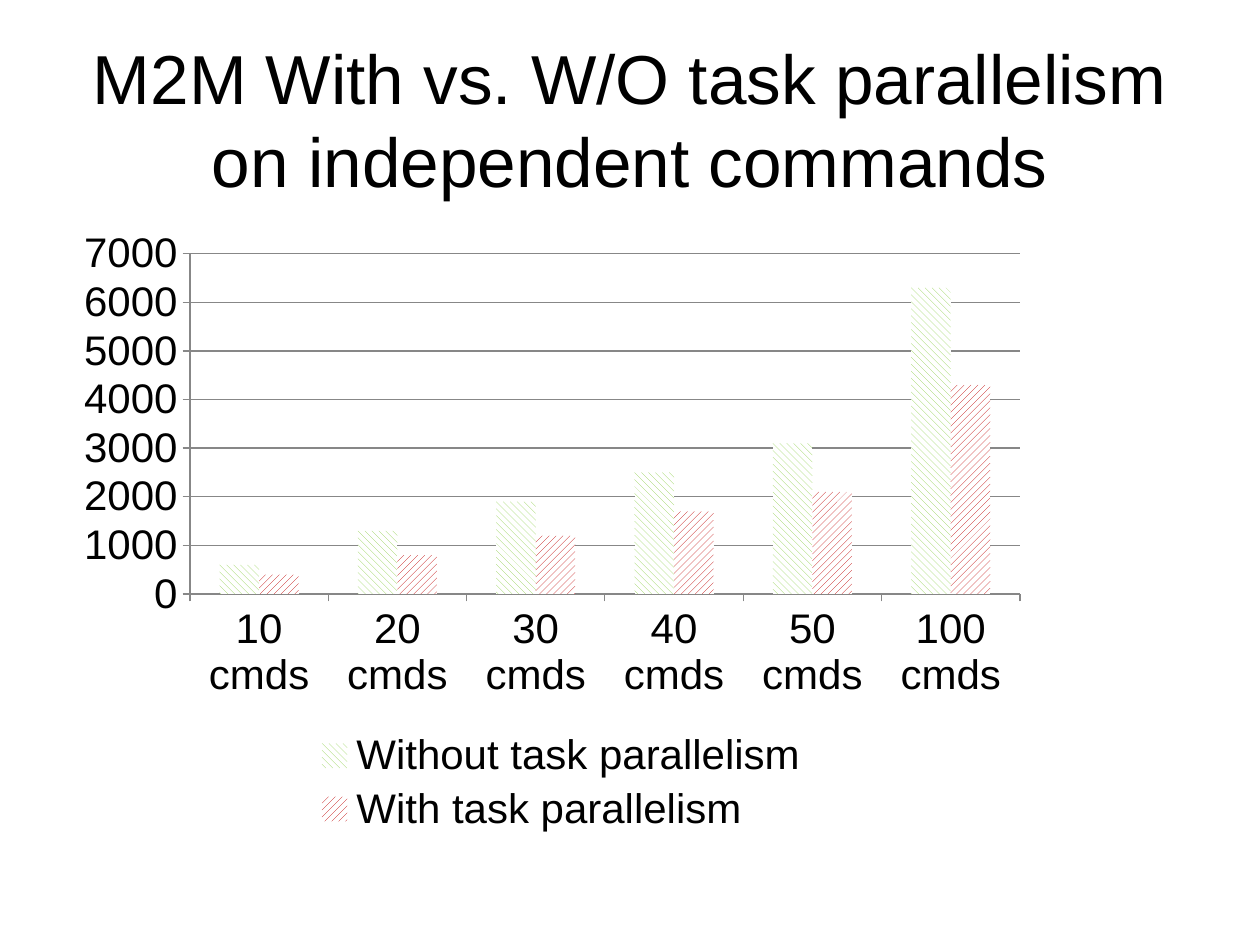
from lxml import etree
from pptx import Presentation
from pptx.chart.data import CategoryChartData
from pptx.dml.color import RGBColor
from pptx.enum.chart import XL_CHART_TYPE as ChartType
from pptx.enum.chart import XL_LEGEND_POSITION as LegendPosition
from pptx.enum.chart import XL_TICK_MARK as TickMark
from pptx.enum.dml import MSO_PATTERN as Pattern
from pptx.enum.text import MSO_ANCHOR as Anchor
from pptx.enum.text import PP_ALIGN as Align
from pptx.oxml.ns import qn
from pptx.util import Inches, Pt


def color(hex_string):
    return RGBColor.from_string(hex_string)


class SlideBuilder:
    """Holds the style and the current slide; areas are shares of the slide."""

    FONT = "Arial"
    INK = "000000"
    PAPER = "FFFFFF"
    RULE = "878787"

    def __init__(self, deck):
        self.deck = deck
        self.slide = deck.slides.add_slide(deck.slide_layouts[6])

    def place(self, left, top, width, height):
        wide, high = self.deck.slide_width, self.deck.slide_height
        return [round(share * side) for share, side in
                ((left, wide), (top, high), (width, wide), (height, high))]

    def style(self, font, size):
        font.name = self.FONT
        font.size = Pt(size)
        font.color.rgb = color(self.INK)

    def title(self, text, area, size):
        frame = self.slide.shapes.add_textbox(*self.place(*area)).text_frame
        frame.word_wrap = True
        frame.vertical_anchor = Anchor.MIDDLE
        para = frame.paragraphs[0]
        para.text = text
        para.alignment = Align.CENTER
        self.style(para.font, size)

    def column_chart(self, categories, series, area, size, top_value, step):
        data = CategoryChartData()
        data.categories = categories
        for name, values, _, _ in series:
            data.add_series(name, values)
        chart = self.slide.shapes.add_chart(
            ChartType.COLUMN_CLUSTERED, *self.place(*area), data).chart
        chart.has_title = False
        self.style(chart.font, size)

        # Axes and gridlines
        for axis in (chart.category_axis, chart.value_axis):
            axis.major_tick_mark = TickMark.OUTSIDE
            self.rule(axis.format.line)
        chart.value_axis.minimum_scale = 0
        chart.value_axis.maximum_scale = top_value
        chart.value_axis.major_unit = step
        self.rule(chart.value_axis.major_gridlines.format.line)

        # Hatched columns
        plot = chart.plots[0]
        plot.gap_width = 150
        plot.overlap = 0
        plot.vary_by_categories = False
        for column, (_, _, pattern, ink) in zip(plot.series, series):
            fill = column.format.fill
            fill.patterned()
            fill.pattern = pattern
            fill.fore_color.rgb = color(ink)
            fill.back_color.rgb = color(self.PAPER)

        # Legend below the plot
        chart.has_legend = True
        chart.legend.position = LegendPosition.BOTTOM
        chart.legend.include_in_layout = False
        return chart

    def rule(self, line):
        line.color.rgb = color(self.RULE)
        line.width = Pt(0.75)

    @staticmethod
    def arrange(part, index, **shares):
        """Fix a chart part at shares of the chart's own size."""
        for old in part.findall(qn("c:layout")):
            part.remove(old)
        layout = etree.Element(qn("c:layout"))
        manual = etree.SubElement(layout, qn("c:manualLayout"))
        for tag, value in shares.items():
            etree.SubElement(manual, qn(f"c:{tag}")).set("val", str(value))
        part.insert(index, layout)


def main():
    deck = Presentation()
    deck.slide_width, deck.slide_height = Inches(10), Inches(7.5)
    builder = SlideBuilder(deck)

    builder.title("M2M With vs. W/O task parallelism\von independent commands",
                  (0.05, 0.04, 0.9, 0.17), 39.6)

    categories = [f"{count} cmds" for count in (10, 20, 30, 40, 50, 100)]
    series = [
        ("Without task parallelism", (600, 1300, 1900, 2500, 3100, 6300),
         Pattern.WIDE_DOWNWARD_DIAGONAL, "92D050"),
        ("With task parallelism", (400, 800, 1200, 1700, 2100, 4300),
         Pattern.WIDE_UPWARD_DIAGONAL, "C00000"),
    ]
    chart = builder.column_chart(categories, series,
                                 (0.05, 0.244, 0.775, 0.644), 24, 7000, 1000)

    # Plot and legend positions inside the chart
    plot_area = chart.plots[0]._element.getparent()
    builder.arrange(plot_area, 0, layoutTarget="inner", xMode="edge",
                    yMode="edge", x=0.13, y=0.02, w=0.85, h=0.57)
    builder.arrange(chart.legend._element, 1, xMode="edge", yMode="edge",
                    x=0.25, y=0.81, w=0.52, h=0.19)

    deck.save("out.pptx")


if __name__ == "__main__":
    main()
